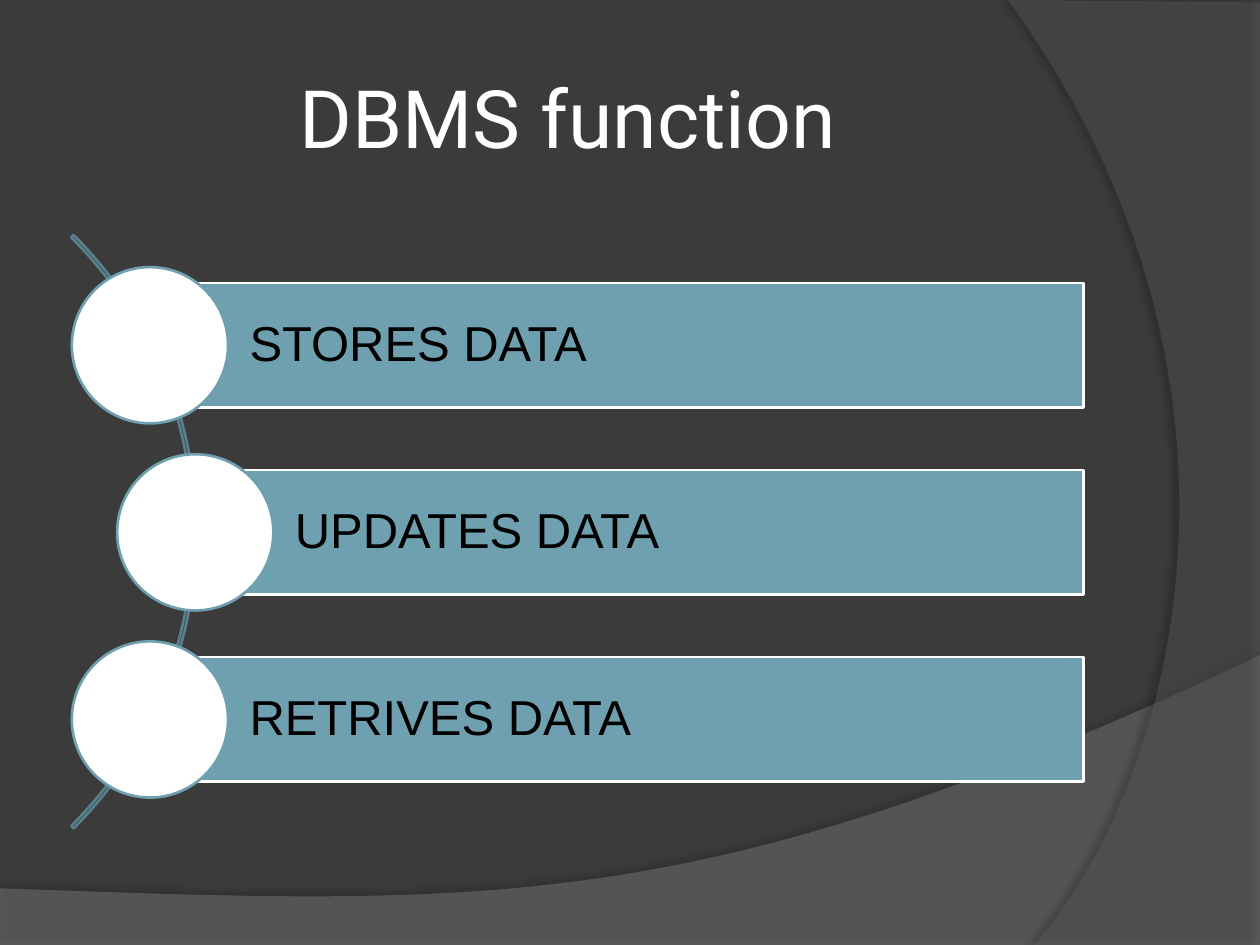
from lxml.etree import SubElement
from pptx import Presentation
from pptx.dml.color import RGBColor
from pptx.enum.shapes import MSO_SHAPE
from pptx.enum.text import MSO_ANCHOR, PP_ALIGN
from pptx.oxml.ns import qn
from pptx.util import Inches, Pt


def paint(sp, fill=None, line=None):
    sp.shadow.inherit = False
    for fmt, color in ((sp.fill, fill), (sp.line.fill, line)):
        if color:
            fmt.solid()
            fmt.fore_color.rgb = RGBColor.from_string(color)
        else:
            fmt.background()
    if line:
        sp.line.width = Pt(1.5)


def curve(points, steps=60):
    result = []
    for i in range(steps + 1):
        t = i / steps
        weights = ((1 - t) ** 3, 3 * t * (1 - t) ** 2, 3 * t * t * (1 - t), t ** 3)
        result.append(tuple(Inches(sum(w * pt[k] for w, pt in zip(weights, points)))
                            for k in (0, 1)))
    return result


prs = Presentation()
prs.slide_width, prs.slide_height = Inches(10), Inches(7.5)
s = prs.slides.add_slide(prs.slide_layouts[6])
s.background.fill.solid()
s.background.fill.fore_color.rgb = RGBColor.from_string("3B3B3B")

waves = [
    ([(10, 5.2), (5.59, 7.29), (3.91, 7.19), (0, 7.05)],
     [(0, 7.51), (10, 7.51)], "7F7F7F", 45, 35, 3.5, 270),
    ([(8.21, 7.5), (9.35, 6.19), (10.18, 3), (8, 0)],
     [(10, 0.02), (10, 7.5)], "5E5E5E", 40, 45, 4, 180),
]
for bezier, corners, color, opacity, shade, distance, angle in waves:
    pts = curve(bezier) + [(Inches(x), Inches(y)) for x, y in corners]
    fb = s.shapes.build_freeform(*pts[0], scale=1.0)
    fb.add_line_segments(pts[1:], close=True)
    sp = fb.convert_to_shape()
    paint(sp, color)
    spPr = sp._element.spPr
    clr = spPr.find(qn("a:solidFill"))[0]
    SubElement(clr, qn("a:alpha"), val=str(opacity * 1000))
    shadow = SubElement(spPr.find(qn("a:effectLst")), qn("a:outerShdw"),
                        blurRad=str(Pt(4)), dist=str(Pt(distance)),
                        dir=str(angle * 60000), algn="ctr", rotWithShape="0")
    clr = SubElement(shadow, qn("a:srgbClr"), val="000000")
    SubElement(clr, qn("a:alpha"), val=str(shade * 1000))

sp = s.shapes.add_textbox(Inches(0.5), Inches(0.3), Inches(8.17), Inches(1.25))
tf = sp.text_frame
tf.word_wrap = True
tf.vertical_anchor = MSO_ANCHOR.MIDDLE
tf.margin_left = tf.margin_right = tf.margin_top = tf.margin_bottom = Inches(0.05)
p = tf.paragraphs[0]
p.text = "DBMS function "
p.alignment = PP_ALIGN.CENTER
p.font.size, p.font.name = Pt(46), "Roboto"
p.font.color.rgb = RGBColor.from_string("FFFFFF")

arc = s.shapes.add_shape(MSO_SHAPE.BLOCK_ARC, Inches(-5.1), Inches(0.89),
                         Inches(6.66), Inches(6.66))
for i, value in enumerate((189, 27, 0.004)):
    arc.adjustments[i] = value
paint(arc, line="58808D")

right, bar_h, dot, pitch = 8.6, 0.99, 1.24, 1.485
rows = [("STORES DATA", 1.19), ("UPDATES DATA", 1.55), ("RETRIVES DATA", 1.19)]
for i, (label, left) in enumerate(rows):
    middle = 2.74 + i * pitch
    bar = s.shapes.add_shape(MSO_SHAPE.RECTANGLE, Inches(left), Inches(middle - bar_h / 2),
                             Inches(right - left), Inches(bar_h))
    paint(bar, "6EA0B0", "FFFFFF")
    tf = bar.text_frame
    tf.word_wrap = True
    tf.vertical_anchor = MSO_ANCHOR.MIDDLE
    tf.margin_left = Inches(0.79)
    tf.margin_right = tf.margin_top = tf.margin_bottom = Inches(0.08)
    p = tf.paragraphs[0]
    p.text = label
    p.alignment = PP_ALIGN.LEFT
    p.line_spacing = 0.9
    p.font.size, p.font.name = Pt(28), "Arial"
    p.font.color.rgb = RGBColor.from_string("000000")
    circle = s.shapes.add_shape(MSO_SHAPE.OVAL, Inches(left - dot / 2),
                                Inches(middle - dot / 2), Inches(dot), Inches(dot))
    paint(circle, "FFFFFF", "6EA0B0")

prs.save("out.pptx")
